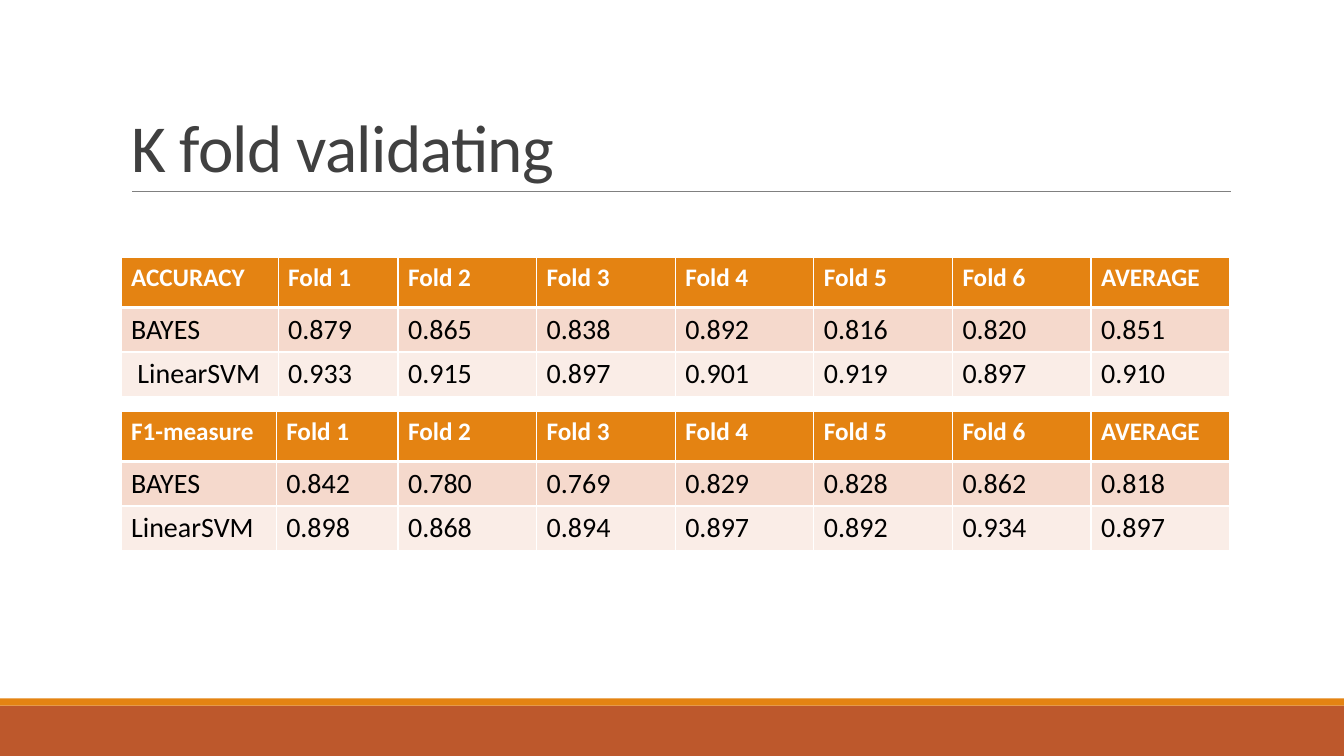
from lxml.etree import SubElement
from pptx import Presentation
from pptx.dml.color import RGBColor
from pptx.enum.shapes import MSO_CONNECTOR as Connector, MSO_SHAPE as Shape
from pptx.enum.text import MSO_ANCHOR as Anchor, MSO_AUTO_SIZE as AutoSize, PP_ALIGN as Align
from pptx.oxml import parse_xml
from pptx.oxml.ns import nsdecls, qn
from pptx.util import Cm, Pt

COLORS = {
    "orange": "E48312", "rust": "BD582C", "rule": "808080", "title": "404040",
    "white": "FFFFFF", "black": "000000", "band": "F5D9CC", "pale": "FAEDE7",
}
HEADER = {"size": Pt(18), "bold": True, "name": "Calibri"}
VALUE = {"size": Pt(20), "bold": False, "name": "Calibri"}
TITLE = {"size": Pt(48), "bold": False, "name": "Calibri"}
ROW_STYLES = [("orange", "white", HEADER), ("band", "black", VALUE), ("pale", "black", VALUE)]
LEFT, WIDTH = 3.05, 27.94
ROW_HEIGHTS = [1.27, 1.04, 1.04]
FOLDS = [f"Fold {number}" for number in range(1, 7)]

TABLES = [
    (6.48, [3.96, 3.02], [
        ["ACCURACY", *FOLDS, "AVERAGE"],
        ["BAYES", "0.879", "0.865", "0.838", "0.892", "0.816", "0.820", "0.851"],
        [" LinearSVM", "0.933", "0.915", "0.897", "0.901", "0.919", "0.897", "0.910"],
    ]),
    (10.36, [3.91, 3.07], [
        ["F1-measure", *FOLDS, "AVERAGE"],
        ["BAYES", "0.842", "0.780", "0.769", "0.829", "0.828", "0.862", "0.818"],
        ["LinearSVM", "0.898", "0.868", "0.894", "0.897", "0.892", "0.934", "0.897"],
    ]),
]


def rgb(name):
    return RGBColor.from_string(COLORS[name])


def write(frame, text, color, style):
    para = frame.paragraphs[0]
    para.alignment = Align.LEFT
    span = para.add_run()
    span.text = text
    span.font.color.rgb = rgb(color)
    for key, value in style.items():
        setattr(span.font, key, value)
    return para


deck = Presentation()
deck.slide_width, deck.slide_height = Cm(33.87), Cm(19.05)
page = deck.slides.add_slide(deck.slide_layouts[5])

for top, height, color in [(17.78, 1.27, "rust"), (17.6, 0.18, "orange")]:
    bar = page.shapes.add_shape(Shape.RECTANGLE, 0, Cm(top), deck.slide_width, Cm(height))
    bar.shadow.inherit = False
    bar.fill.solid()
    bar.fill.fore_color.rgb = rgb(color)
    bar.line.fill.background()

rule = page.shapes.add_connector(Connector.STRAIGHT, Cm(3.33), Cm(4.83), Cm(31.01), Cm(4.83))
rule.line.color.rgb = rgb("rule")
rule.line.width = Pt(0.5)
SubElement(rule._element.spPr, qn("a:effectLst"))

title = page.shapes.title
title.left, title.top, title.width, title.height = Cm(LEFT), Cm(0.79), Cm(WIDTH), Cm(4.04)
frame = title.text_frame
for key, value in {"vertical_anchor": Anchor.BOTTOM, "word_wrap": True, "auto_size": AutoSize.NONE}.items():
    setattr(frame, key, value)
para = write(frame, "K fold validating", "title", TITLE)
para.line_spacing = 0.85
para.runs[0].font._element.set("spc", "-50")

for top, first_widths, rows in TABLES:
    fold_width = (WIDTH - sum(first_widths)) / 6
    widths = first_widths + [fold_width] * 6
    grid = page.shapes.add_table(
        len(rows), len(widths), Cm(LEFT), Cm(top), Cm(WIDTH), Cm(sum(ROW_HEIGHTS))
    ).table
    for column, width in zip(grid.columns, widths):
        column.width = Cm(width)
    for r, (texts, height, (fill, color, style)) in enumerate(zip(rows, ROW_HEIGHTS, ROW_STYLES)):
        grid.rows[r].height = Cm(height)
        for c, text in enumerate(texts):
            cell = grid.cell(r, c)
            write(cell.text_frame, text, color, style)
            cell.fill.solid()
            cell.fill.fore_color.rgb = rgb(fill)
            for index, side in enumerate("LRTB"):
                thick = (side == "B" and r == 0) or (side == "T" and r == 1)
                border = parse_xml(
                    f'<a:ln{side} {nsdecls("a")} w="{Pt(3 if thick else 1)}"><a:solidFill>'
                    f'<a:srgbClr val="{COLORS["white"]}"/></a:solidFill></a:ln{side}>'
                )
                cell._tc.tcPr.insert(index, border)

deck.save("out.pptx")
